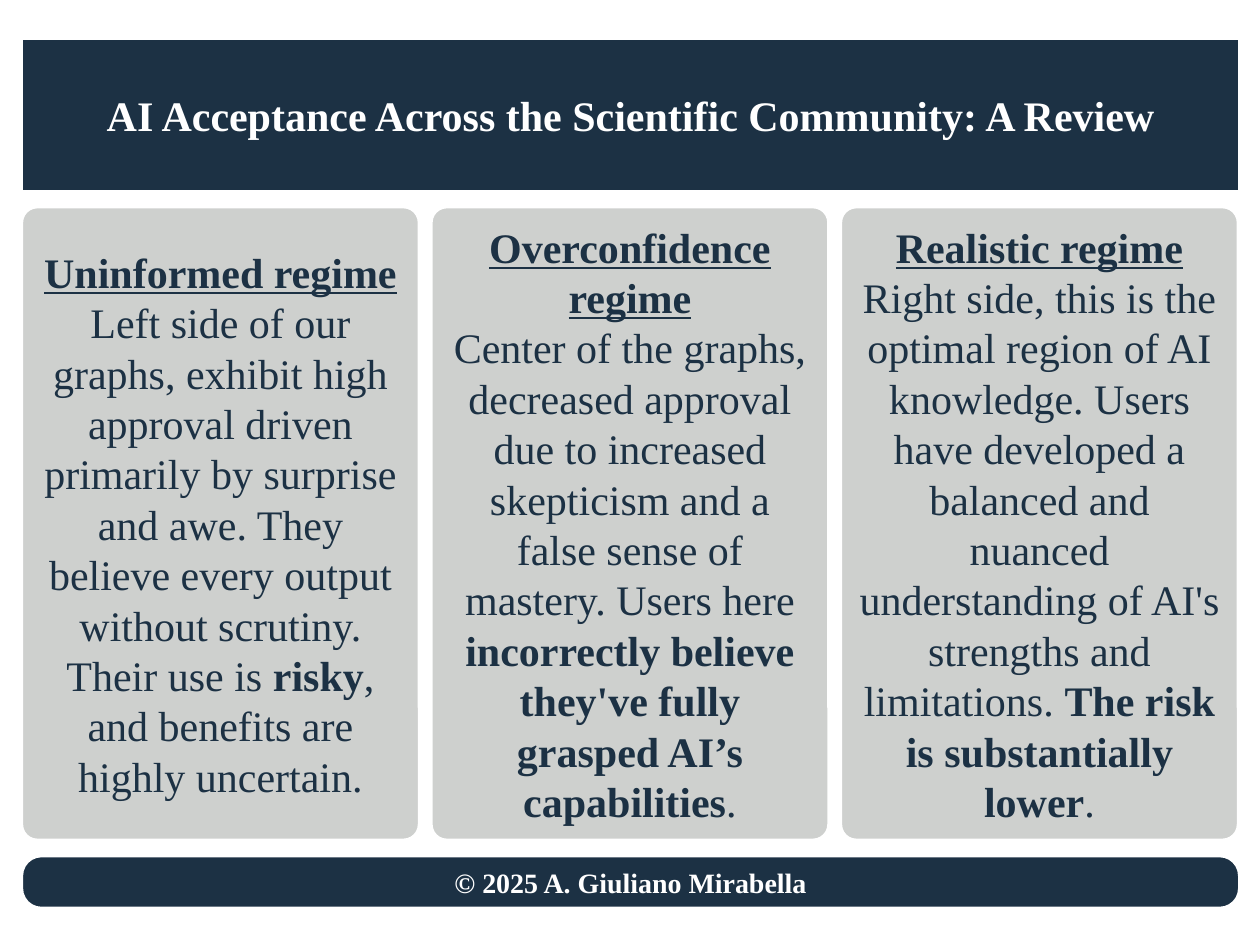
from dataclasses import dataclass
from typing import NamedTuple

from lxml.etree import SubElement
from pptx import Presentation
from pptx.dml.color import RGBColor
from pptx.enum.shapes import MSO_SHAPE as Shp
from pptx.enum.text import MSO_ANCHOR as Anchor, MSO_AUTO_SIZE as AutoSize, PP_ALIGN as Align
from pptx.oxml.ns import qn
from pptx.util import Emu, Pt

EMU_PER_PX = 9144


@dataclass(frozen=True)
class Theme:
    font: str = "Times New Roman"
    navy: RGBColor = RGBColor(0x1C, 0x31, 0x44)
    grey: RGBColor = RGBColor(0xCE, 0xD0, 0xCE)
    white: RGBColor = RGBColor(0xFF, 0xFF, 0xFF)
    body: Pt = Pt(24)
    footer: Pt = Pt(16)
    outline: Pt = Pt(2)


class Box(NamedTuple):
    left: int
    top: int
    width: int
    height: int


class Span(NamedTuple):
    text: str
    bold: bool = False
    underline: bool = False


class Regime(NamedTuple):
    heading: str
    body: list[Span]


THEME = Theme()
HEADER = Box(17, 30, 967, 122)
FOOTER = Box(17, 679, 967, 42)
COLUMN = Box(17, 164, 316, 503)
COLUMN_PITCH = 325

REGIMES = [
    Regime("Uninformed regime", [
        Span("Left side of our graphs, exhibit high approval driven primarily by surprise "
             "and awe. They believe every output without scrutiny. Their use is "),
        Span("risky", bold=True),
        Span(", and benefits are highly uncertain."),
    ]),
    Regime("Overconfidence regime", [
        Span("Center of the graphs, decreased approval due to increased skepticism "
             "and a false sense of mastery. Users here "),
        Span("incorrectly believe they've fully grasped AI’s capabilities", bold=True),
        Span("."),
    ]),
    Regime("Realistic regime", [
        Span("Right side, this is the optimal region of AI knowledge. Users have developed "
             "a balanced and nuanced understanding of AI's strengths and limitations. "),
        Span("The risk is substantially lower", bold=True),
        Span("."),
    ]),
]


def px(n: int) -> Emu:
    return Emu(n * EMU_PER_PX)


def add_panel(s, box: Box, radius: float):
    sp = s.shapes.add_shape(Shp.ROUNDED_RECTANGLE, *map(px, box))
    sp.adjustments[0] = radius
    sp.shadow.inherit = False
    return sp


def place_title(s, box: Box):
    sp = s.shapes.title
    for name, value in box._asdict().items():
        setattr(sp, name, px(value))
    SubElement(sp._element.spPr, qn("a:prstGeom"), prst="roundRect")
    return sp


def style_panel(sp, fill: RGBColor) -> None:
    sp.fill.solid()
    sp.fill.fore_color.rgb = fill
    sp.line.color.rgb = THEME.white
    sp.line.width = THEME.outline


def write(sp, paragraphs: list[list[Span]], size: Pt, color: RGBColor) -> None:
    tf = sp.text_frame
    frame = {"word_wrap": True, "auto_size": AutoSize.NONE, "vertical_anchor": Anchor.MIDDLE}
    for name, value in frame.items():
        setattr(tf, name, value)
    for i, spans in enumerate(paragraphs):
        p = tf.add_paragraph() if i else tf.paragraphs[0]
        p.alignment = Align.CENTER
        for span in spans:
            r = p.add_run()
            r.text = span.text
            font = {"name": THEME.font, "size": size, "bold": span.bold,
                    "underline": span.underline}
            for name, value in font.items():
                setattr(r.font, name, value)
            r.font.color.rgb = color


def main() -> None:
    prs = Presentation()
    prs.slide_width, prs.slide_height = px(1000), px(750)
    s = prs.slides.add_slide(prs.slide_layouts[5])

    title = place_title(s, HEADER)
    style_panel(title, THEME.navy)
    heading = Span("AI Acceptance Across the Scientific Community: A Review", bold=True)
    write(title, [[heading]], THEME.body, THEME.white)

    for i, regime in enumerate(REGIMES):
        box = COLUMN._replace(left=COLUMN.left + i * COLUMN_PITCH)
        panel = add_panel(s, box, 0.04)
        style_panel(panel, THEME.grey)
        heading = Span(regime.heading, bold=True, underline=True)
        write(panel, [[heading], regime.body], THEME.body, THEME.navy)

    footer = add_panel(s, FOOTER, 0.38)
    style_panel(footer, THEME.navy)
    write(footer, [[Span("© 2025 A. Giuliano Mirabella", bold=True)]], THEME.footer, THEME.white)

    prs.save("out.pptx")


if __name__ == "__main__":
    main()
